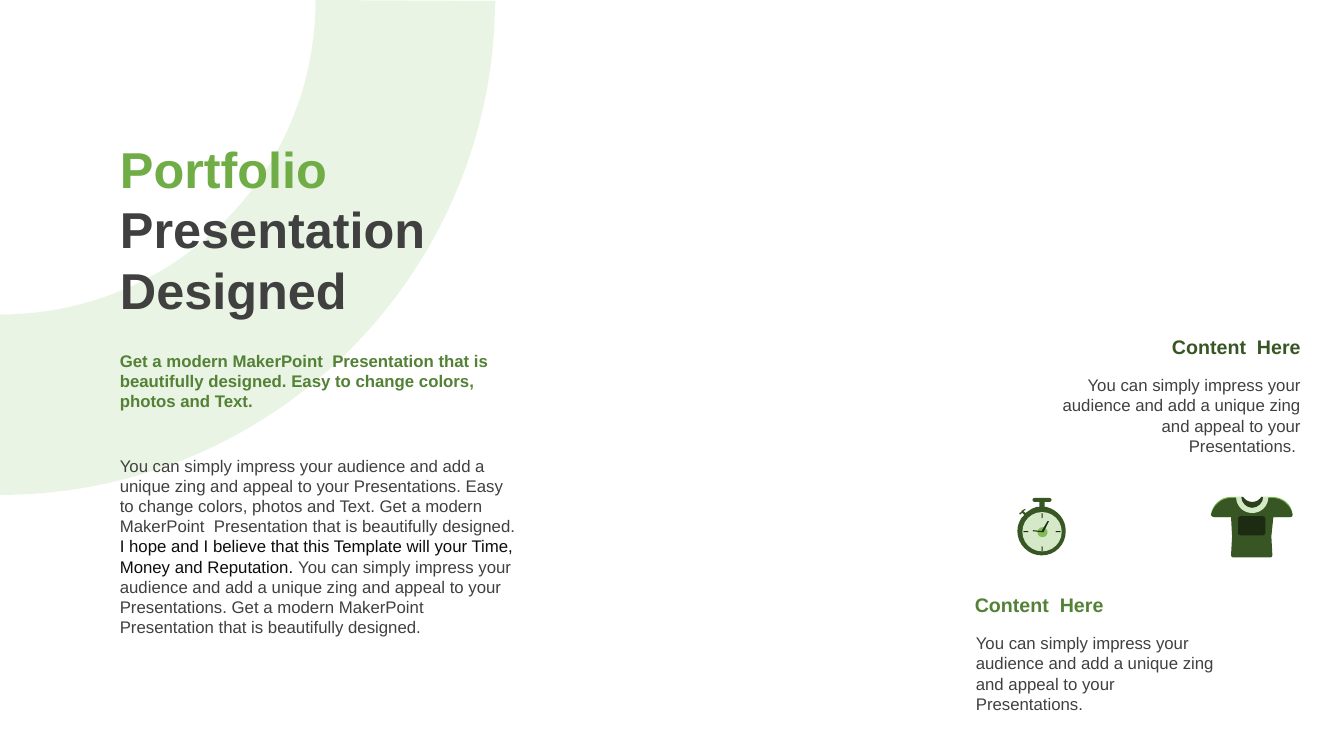
from dataclasses import dataclass
from typing import Any

from lxml import etree
from pptx import Presentation
from pptx import util as u
from pptx.dml.color import RGBColor
from pptx.enum import shapes, text
from pptx.oxml.ns import qn

COLORS = {
    "ring": "E2F0D9", "accent": "70AD47", "green": "538135", "forest": "375623",
    "body": "404040", "strong": "0D0D0D", "dial": "D5E8C8", "hub": "80BB59",
    "ink": "1C2B12", "collar": "29401A",
}
IMPRESS = "You can simply impress your audience and add a unique zing and appeal to your Presentations."
MODERN = "Get a modern MakerPoint  Presentation that is beautifully designed."


@dataclass
class Run:
    words: str
    color: str


@dataclass
class Copy:
    box: tuple[float, float, float, float]
    paragraphs: list[list[Run]]
    size: int = 12
    bold: bool = False
    align: Any = text.PP_ALIGN.LEFT
    anchor: Any = text.MSO_ANCHOR.TOP


@dataclass
class Outline:
    """Absolute M, L and C commands, in inches on the slide."""
    path_data: str
    color: str


@dataclass
class Preset:
    kind: Any
    box: tuple[float, float, float, float]
    color: str
    rounding: float | None = None


def rgb(name: str) -> RGBColor:
    return RGBColor.from_string(COLORS[name])


def fill_text(shape: Any, copy: Copy) -> None:
    shape.left, shape.top, shape.width, shape.height = map(u.Inches, copy.box)
    frame = shape.text_frame
    frame_format = {"word_wrap": True, "vertical_anchor": copy.anchor,
                    "auto_size": text.MSO_AUTO_SIZE.SHAPE_TO_FIT_TEXT}
    for key, value in frame_format.items():
        setattr(frame, key, value)
    run_format = {"name": "Arial", "size": u.Pt(copy.size), "bold": copy.bold}
    for index, runs in enumerate(copy.paragraphs):
        paragraph = frame.add_paragraph() if index else frame.paragraphs[0]
        paragraph.alignment, paragraph.line_spacing = copy.align, 1.0
        paragraph.space_before = u.Pt(0)
        for part in runs:
            run = paragraph.add_run()
            run.text = part.words
            for key, value in run_format.items():
                setattr(run.font, key, value)
            run.font.color.rgb = rgb(part.color)


def add_copy(parent: Any, copy: Copy) -> None:
    fill_text(parent.add_textbox(*map(u.Inches, copy.box)), copy)


def paint(shape: Any, color: str) -> None:
    shape.shadow.inherit = False
    shape.fill.solid()
    shape.fill.fore_color.rgb = rgb(color)
    shape.line.fill.background()


def trace(path_data: str) -> tuple[list[tuple[int, int]], list[int]]:
    """Return all points, and the indexes at which a cubic curve begins."""
    points: list[tuple[int, int]] = []
    curve_starts: list[int] = []
    for letter in "MLC":
        path_data = path_data.replace(letter, f"|{letter}")
    for command in path_data.split("|")[1:]:
        values = [u.Inches(float(v)) for v in command[1:].split()]
        pairs = list(zip(values[::2], values[1::2]))
        if command[0] == "C":
            curve_starts += range(len(points), len(points) + len(pairs), 3)
        points += pairs
    return points, curve_starts


def add_outline(parent: Any, outline: Outline) -> Any:
    points, curve_starts = trace(outline.path_data)
    builder = parent.build_freeform(*points[0])
    builder.add_line_segments(points[1:], close=True)
    shape = builder.convert_to_shape()
    # Join the three points of each curve into one cubic segment
    steps = list(shape._element.iter(qn("a:moveTo"), qn("a:lnTo")))
    for start in curve_starts:
        first, *others = steps[start:start + 3]
        curve = etree.Element(qn("a:cubicBezTo"))
        first.addprevious(curve)
        for step in (first, *others):
            curve.append(step[0])
            step.getparent().remove(step)
    paint(shape, outline.color)
    return shape


def add_preset(parent: Any, preset: Preset) -> None:
    shape = parent.add_shape(preset.kind, *map(u.Inches, preset.box))
    if preset.rounding is not None:
        shape.adjustments[0] = preset.rounding
    paint(shape, preset.color)


def add_icon(parent: Any, parts: list[Outline | Preset]) -> None:
    icon = parent.add_group_shape().shapes
    for part in parts:
        if isinstance(part, Outline):
            add_outline(icon, part)
        else:
            add_preset(icon, part)


OVAL = shapes.MSO_SHAPE.OVAL
ROUNDED = shapes.MSO_SHAPE.ROUNDED_RECTANGLE

RING = Outline("M4.91 0.01 C4.9 2.71 2.71 4.91 0 4.91 L0 3.12 C1.73 3.12 3.13 1.73 3.13 0", "ring")

TITLE = Copy((1.09, 1.32, 3.62, 1.92),
             [[Run("Portfolio", "accent")], [Run("Presentation Designed", "body")]], 36, True)
INTRO = Copy((1.09, 3.43, 4.16, 0.71),
             [[Run(MODERN + " Easy to change colors, photos and Text.", "green")]], bold=True)
STORY = Copy((1.09, 4.47, 4.16, 1.92), [[
    Run(f"{IMPRESS} Easy to change colors, photos and Text. {MODERN}", "body"),
    Run(" I hope and I believe that this Template will your Time, Money and Reputation. ", "strong"),
    Run(f"{IMPRESS} {MODERN}", "body"),
]])

# Left, top, heading colour, alignment, body wording
CONTENT_BLOCKS = [
    (10.38, 3.27, "forest", text.PP_ALIGN.RIGHT, IMPRESS + " "),
    (9.57, 5.83, "green", text.PP_ALIGN.LEFT, IMPRESS),
]

TICKS = [(10.33, 5.09, 0.01, 0.05), (10.15, 5.27, 0.05, 0.01),
         (10.33, 5.42, 0.01, 0.05), (10.47, 5.27, 0.05, 0.01)]
STOPWATCH = [
    Outline("M10.26 4.94 L10.41 4.94 C10.42 4.94 10.43 4.95 10.43 4.96 10.43 4.97 10.42 4.98 10.41 4.98 "
            "L10.36 4.98 10.36 5.03 10.38 5.03 C10.49 5.06 10.57 5.15 10.57 5.27 "
            "10.57 5.4 10.47 5.51 10.33 5.51 10.2 5.51 10.09 5.4 10.09 5.27 "
            "10.09 5.22 10.11 5.17 10.13 5.14 L10.16 5.11 10.14 5.09 10.12 5.1 "
            "C10.12 5.11 10.12 5.11 10.11 5.1 10.11 5.1 10.11 5.09 10.11 5.09 L10.13 5.08 10.13 5.07 10.16 5.05 "
            "C10.16 5.05 10.17 5.05 10.17 5.05 10.17 5.05 10.17 5.06 10.17 5.06 L10.15 5.07 10.17 5.09 10.2 5.07 "
            "C10.22 5.05 10.25 5.04 10.28 5.03 L10.31 5.03 10.31 4.98 10.26 4.98 "
            "C10.25 4.98 10.24 4.97 10.24 4.96 10.24 4.95 10.25 4.94 10.26 4.94", "forest"),
    Preset(OVAL, (10.14, 5.08, 0.39, 0.39), "dial"),
    Preset(OVAL, (10.29, 5.23, 0.1, 0.1), "hub"),
    Outline("M10.35 5.28 C10.34 5.28 10.34 5.28 10.34 5.28 10.33 5.28 10.33 5.27 10.33 5.27 "
            "L10.39 5.17 C10.39 5.17 10.4 5.17 10.4 5.17 10.4 5.17 10.41 5.17 10.4 5.18", "ink"),
    Outline("M10.34 5.27 C10.34 5.27 10.35 5.27 10.35 5.28 10.35 5.28 10.34 5.28 10.34 5.28 "
            "L10.24 5.27 C10.24 5.26 10.24 5.26 10.25 5.26", "ink"),
    *(Preset(ROUNDED, tick, "ink", 0.5) for tick in TICKS),
]

SHIRT = [
    Outline("M12.31 5.13 L12.53 5.13 12.53 4.93 12.51 4.93 C12.49 4.96 12.46 4.98 12.42 4.98 "
            "12.38 4.98 12.35 4.96 12.33 4.93 L12.31 4.93", "collar"),
    Outline("M12.82 5.11 C12.82 5.12 12.81 5.13 12.8 5.13 L12.04 5.13 C12.03 5.13 12.02 5.12 12.01 5.11 "
            "L12.01 5.1 C12.03 5 12.11 4.93 12.21 4.93 L12.31 4.93 C12.31 4.99 12.36 5.04 12.42 5.04 "
            "12.48 5.04 12.53 4.99 12.53 4.93 L12.62 4.93 C12.72 4.93 12.81 5 12.82 5.1", "hub"),
    Outline("M12.21 4.94 L12.31 4.94 C12.31 5 12.36 5.05 12.42 5.05 12.48 5.05 12.53 5 12.53 4.94 "
            "L12.62 4.94 C12.72 4.94 12.81 5.02 12.82 5.11 12.82 5.12 12.81 5.13 12.8 5.13 "
            "L12.63 5.13 12.61 5.32 12.62 5.51 C12.62 5.52 12.61 5.53 12.6 5.53 L12.23 5.53 "
            "C12.22 5.53 12.21 5.52 12.21 5.51 L12.22 5.32 12.21 5.13 12.04 5.13 "
            "C12.03 5.13 12.02 5.12 12.01 5.11 12.03 5.02 12.11 4.94 12.21 4.94", "forest"),
    Preset(ROUNDED, (12.28, 5.12, 0.27, 0.19), "ink", 0.14),
    Outline("M12.42 5.04 C12.36 5.04 12.31 4.99 12.31 4.93 L12.26 4.93 C12.26 5.02 12.33 5.09 12.42 5.09 "
            "12.51 5.09 12.58 5.02 12.58 4.93 L12.53 4.93 C12.53 4.99 12.48 5.04 12.42 5.04", "dial"),
]


def main() -> None:
    deck = Presentation()
    deck.slide_width, deck.slide_height = u.Inches(13.33), u.Inches(7.5)
    slide = deck.slides.add_slide(deck.slide_layouts[5])
    canvas = slide.shapes
    # Translucent ring behind everything
    ring = add_outline(canvas, RING)
    tint = ring._element.spPr.find(qn("a:solidFill"))[0]
    etree.SubElement(tint, qn("a:alpha")).set("val", "70000")
    canvas._spTree.insert(2, ring._element)
    # Content headings with their text
    for left, top, color, align, words in CONTENT_BLOCKS:
        block = canvas.add_group_shape().shapes
        add_copy(block, Copy((left, top, 2.62, 0.34), [[Run("Content  Here", color)]],
                             14, True, align, text.MSO_ANCHOR.MIDDLE))
        add_copy(block, Copy((left + 0.01, top + 0.4, 2.61, 0.91), [[Run(words, "body")]], align=align))
    # Title and left column
    fill_text(canvas.title, TITLE)
    for copy in (STORY, INTRO):
        add_copy(canvas, copy)
    # Icons
    for icon in (STOPWATCH, SHIRT):
        add_icon(canvas, icon)
    deck.save("out.pptx")


if __name__ == "__main__":
    main()
